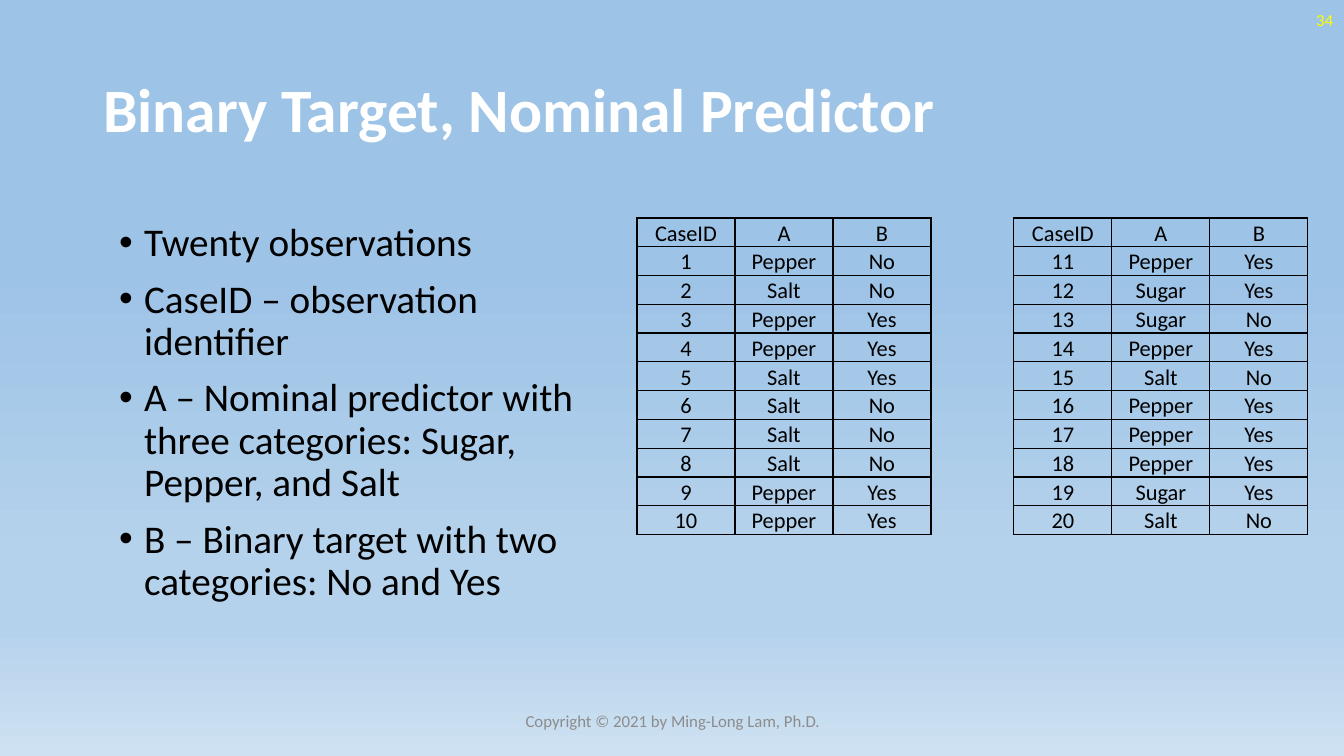
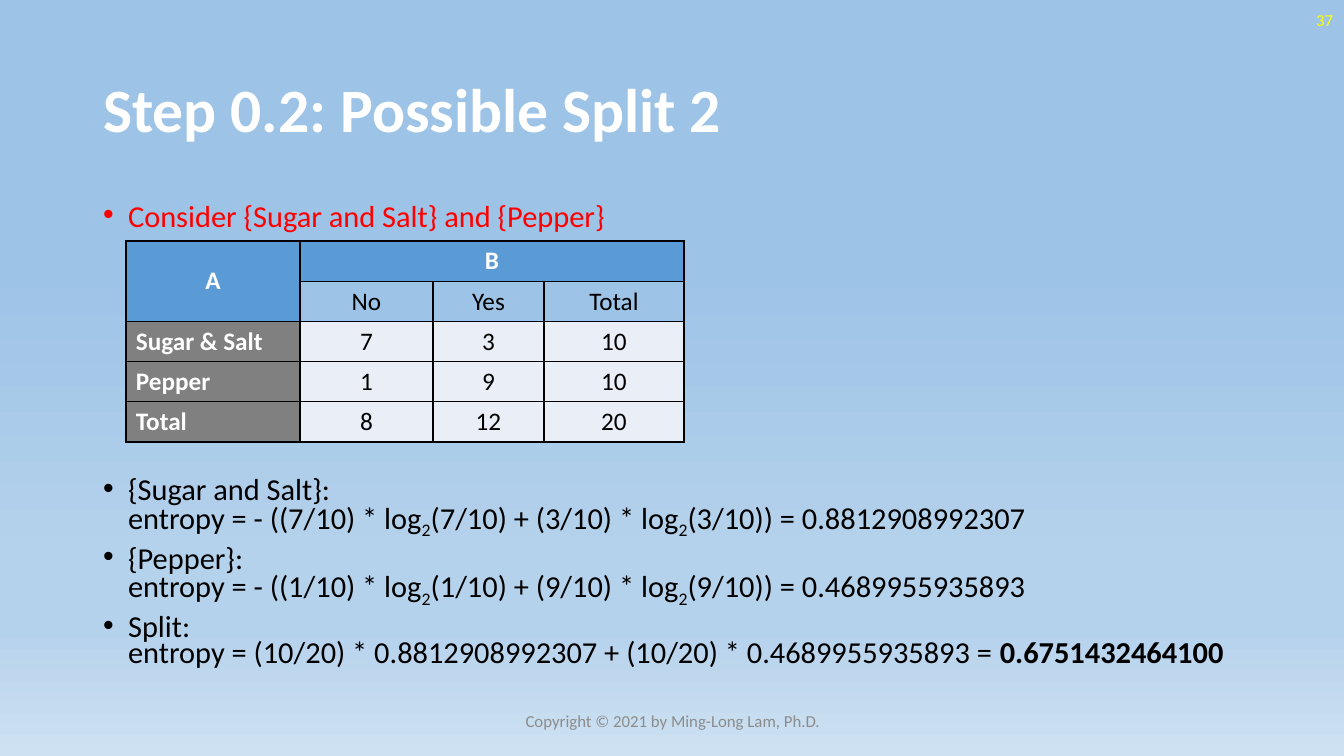
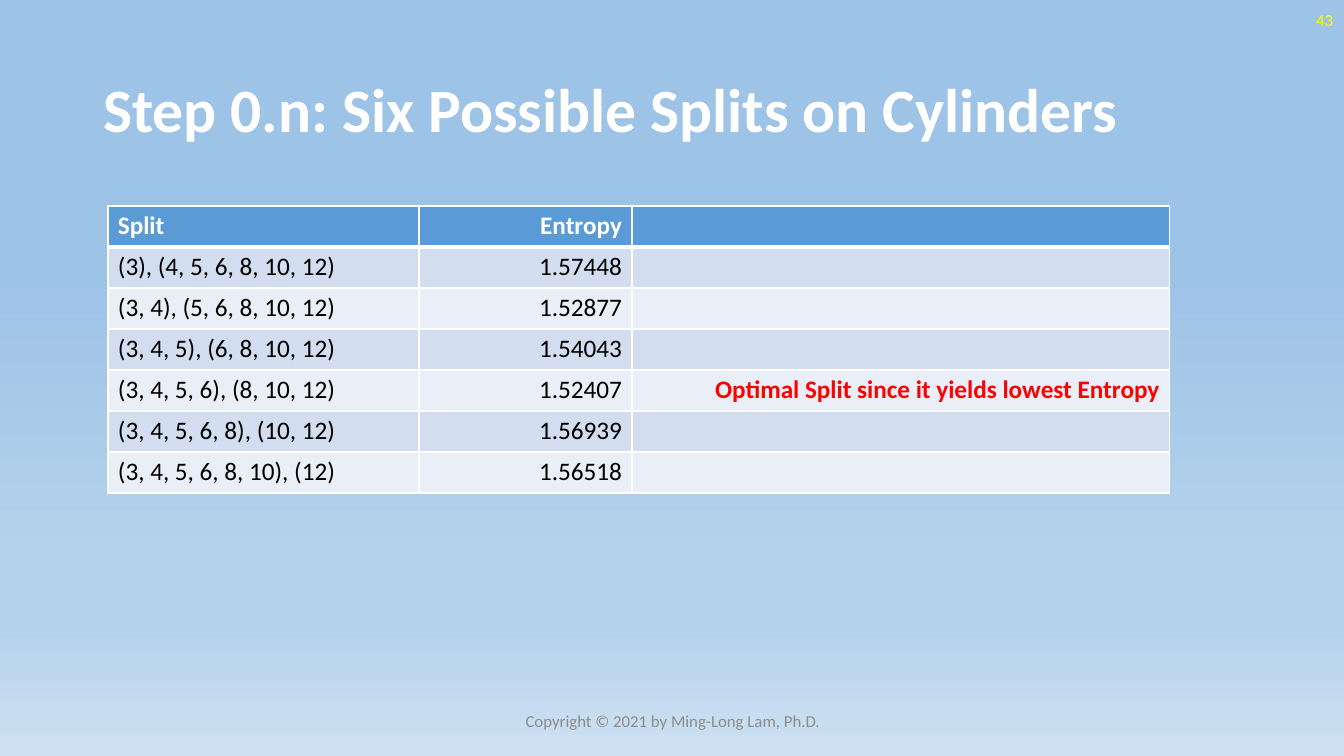
from lxml import etree
from pptx import Presentation
from pptx.dml.color import RGBColor
from pptx.enum.text import MSO_ANCHOR, MSO_AUTO_SIZE, PP_ALIGN
from pptx.oxml.ns import qn
from pptx.util import Pt

LEFT, CENTER, RIGHT = PP_ALIGN.LEFT, PP_ALIGN.CENTER, PP_ALIGN.RIGHT
TOP, MIDDLE, BOTTOM = MSO_ANCHOR.TOP, MSO_ANCHOR.MIDDLE, MSO_ANCHOR.BOTTOM
NO_FIT = MSO_AUTO_SIZE.NONE

FONT = "Calibri"
C = {
    "white": "FFFFFF", "black": "000000", "red": "FF0000", "yellow": "FFFF00",
    "grey": "8C8C8C", "label": "808080", "header": "5B9BD5", "subheader": "9DC3E6",
    "band": "D2DEEF", "pale": "EAEFF7",
}
BACKGROUND = [(35, "9DC3E6"), (74, "B5D2EC"), (83, "B5D2EC"), (100, "CEE1F2")]
FOOTER = "Copyright © 2021 by Ming-Long Lam, Ph.D."
TITLE_ONLY, TITLE_AND_CONTENT = 5, 1

OBSERVATION_POINTS = [
    "Twenty observations",
    "CaseID – observation identifier",
    "A – Nominal predictor with three categories: Sugar, Pepper, and Salt",
    "B – Binary target with two categories: No and Yes",
]
OBSERVATIONS = [
    ("Pepper", "No"), ("Salt", "No"), ("Pepper", "Yes"), ("Pepper", "Yes"),
    ("Salt", "Yes"), ("Salt", "No"), ("Salt", "No"), ("Salt", "No"),
    ("Pepper", "Yes"), ("Pepper", "Yes"), ("Pepper", "Yes"), ("Sugar", "Yes"),
    ("Sugar", "No"), ("Pepper", "Yes"), ("Salt", "No"), ("Pepper", "Yes"),
    ("Pepper", "Yes"), ("Pepper", "Yes"), ("Sugar", "Yes"), ("Salt", "No"),
]

SPLIT_QUESTION = [("Consider {Sugar and Salt} and {Pepper}", "red")]
SPLIT_ENTROPIES = [
    [("{Sugar and Salt}:", ""), ("\n", ""), ("entropy = - ((7/10) * log", ""), ("2", "sub"),
     ("(7/10) + (3/10) * log", ""), ("2", "sub"), ("(3/10)) = 0.8812908992307", "")],
    [("{Pepper}:", ""), ("\n", ""), ("entropy = - ((1/10) * log", ""), ("2", "sub"),
     ("(1/10) + (9/10) * log", ""), ("2", "sub"), ("(9/10)) = 0.4689955935893", "")],
    [("Split:", ""), ("\n", ""),
     ("entropy = (10/20) * 0.8812908992307 + (10/20) * 0.4689955935893 = ", ""),
     ("0.6751432464100", "bold")],
]
SPLIT_COUNTS = [
    ("A", "B", "", ""),
    ("", "No", "Yes", "Total"),
    ("Sugar & Salt", "7", "3", "10"),
    ("Pepper", "1", "9", "10"),
    ("Total", "8", "12", "20"),
]

CYLINDER_SPLITS = [
    ("Split", "Entropy", ""),
    ("(3), (4, 5, 6, 8, 10, 12)", "1.57448", ""),
    ("(3, 4), (5, 6, 8, 10, 12)", "1.52877", ""),
    ("(3, 4, 5), (6, 8, 10, 12)", "1.54043", ""),
    ("(3, 4, 5, 6), (8, 10, 12)", "1.52407", "Optimal Split since it yields lowest Entropy"),
    ("(3, 4, 5, 6, 8), (10, 12)", "1.56939", ""),
    ("(3, 4, 5, 6, 8, 10), (12)", "1.56518", ""),
]


def px(n):
    return round(n * 914400 / 100.8)


def place(shape, x, y, w, h):
    shape.left, shape.top, shape.width, shape.height = px(x), px(y), px(w), px(h)


def add_run(p, text, size, color, bold=False):
    r = p.add_run()
    r.text = text
    r.font.name = FONT
    r.font.size = Pt(size)
    r.font.bold = bold
    r.font.color.rgb = RGBColor.from_string(C[color])
    return r


def add_label(s, box, text, color, align):
    tf = s.shapes.add_textbox(*map(px, box)).text_frame
    tf.word_wrap = True
    tf.vertical_anchor = MIDDLE
    p = tf.paragraphs[0]
    p.alignment = align
    add_run(p, text, 12, color)


def set_background(master):
    fill = master.background.fill
    fill.gradient()
    fill.gradient_angle = 270
    stops = master.element.find(".//" + qn("a:gsLst"))
    for stop in list(stops):
        stops.remove(stop)
    for position, color in BACKGROUND:
        stop = etree.SubElement(stops, qn("a:gs"), pos=str(position * 1000))
        etree.SubElement(stop, qn("a:srgbClr"), val=color)


def add_slide(prs, layout, title, number):
    s = prs.slides.add_slide(prs.slide_layouts[layout])
    place(s.shapes.title, 93, 40, 1159, 146)
    tf = s.shapes.title.text_frame
    tf.auto_size = NO_FIT
    tf.vertical_anchor = MIDDLE
    p = tf.paragraphs[0]
    p.alignment = LEFT
    p.line_spacing = 0.9
    add_run(p, title, 44, "white", True)
    add_label(s, (446, 701, 454, 40), FOOTER, "grey", CENTER)
    add_label(s, (1041, 0, 302, 40), str(number), "yellow", RIGHT)
    return s


def fill_body(s, box, paragraphs, size, line_spacing, gaps):
    body = s.placeholders[1]
    place(body, *box)
    tf = body.text_frame
    tf.auto_size = NO_FIT
    for i, (runs, gap) in enumerate(zip(paragraphs, gaps)):
        p = tf.add_paragraph() if i else tf.paragraphs[0]
        p.line_spacing = line_spacing
        p.space_before = Pt(gap)
        pPr = p._p.get_or_add_pPr()
        pPr.set("marL", str(px(25)))
        pPr.set("indent", str(px(-25)))
        for text, style in runs:
            if text == "\n":
                p.add_line_break()
                br = p._p.findall(qn("a:br"))[-1]
                etree.SubElement(br, qn("a:rPr"), sz=str(round(size * 100)))
                continue
            r = add_run(p, text, size, "red" if style == "red" else "black", style == "bold")
            if style == "sub":
                r.font._element.set("baseline", "-25000")


def set_border(cell, color, widths):
    tcPr = cell._tc.get_or_add_tcPr()
    for side, width in zip("LRTB", widths):
        ln = etree.SubElement(tcPr, qn("a:ln" + side), w=str(Pt(width)))
        if width:
            fill = etree.SubElement(ln, qn("a:solidFill"))
            etree.SubElement(fill, qn("a:srgbClr"), val=C[color])
        else:
            etree.SubElement(ln, qn("a:noFill"))


def add_grid(s, x, y, cols, row_height, rows, look, line, borders, size=18,
             anchor=MIDDLE, margins=(10, 5), line_spacing=1.0):
    frame = s.shapes.add_table(len(rows), len(cols), px(x), px(y),
                               px(sum(cols)), px(row_height * len(rows)))
    table = frame.table
    table.first_row = table.horz_banding = False
    for column, width in zip(table.columns, cols):
        column.width = px(width)
    for i, row in enumerate(rows):
        table.rows[i].height = px(row_height)
        for j, text in enumerate(row):
            cell = table.cell(i, j)
            fill, color, bold, align = look(i, j)
            set_border(cell, line, borders(i, j))
            if fill:
                cell.fill.solid()
                cell.fill.fore_color.rgb = RGBColor.from_string(C[fill])
            else:
                cell.fill.background()
            cell.vertical_anchor = anchor
            cell.margin_left = cell.margin_right = px(margins[0])
            cell.margin_top = cell.margin_bottom = px(margins[1])
            p = cell.text_frame.paragraphs[0]
            p.alignment = align
            p.line_spacing = line_spacing
            if text:
                add_run(p, text, size, color, bold)
            else:
                p._p.get_or_add_endParaRPr().set("sz", str(size * 100))
    return table


def even_borders(i, j):
    return 1, 1, 1, 1


def observation_look(i, j):
    return None, "black", False, CENTER


def observation_borders(i, j):
    return (1, 1, 0, 0) if j == 3 else (1, 1, 1, 1)


def count_look(i, j):
    if i == 0 or (i == 1 and j == 0):
        return "header", "white", True, CENTER
    if i == 1:
        return "subheader", "black", False, CENTER
    if j == 0:
        return "label", "white", True, LEFT
    return "pale", "black", False, CENTER


def cylinder_look(i, j):
    align = RIGHT if j else LEFT
    if i == 0:
        return "header", "white", True, align
    return ("band" if i % 2 else "pale"), ("red" if j == 2 else "black"), j == 2, align


def cylinder_borders(i, j):
    return 1, 1, 3 if i == 1 else 1, 3 if i == 0 else 1


def observations_slide(prs):
    s = add_slide(prs, TITLE_AND_CONTENT, "Binary Target, Nominal Predictor", 34)
    fill_body(s, (109, 218, 507, 480), [[(text, "")] for text in OBSERVATION_POINTS],
              28, 0.9, (0, 10, 10, 10))
    cases = [(str(n), *values) for n, values in enumerate(OBSERVATIONS, 1)]
    header = ("CaseID", "A", "B")
    half = len(cases) // 2
    rows = [(*a, "", *b) for a, b in zip([header] + cases[:half], [header] + cases[half:])]
    add_grid(s, 637, 218, [98] * 3 + [83] + [98] * 3, 27, rows, observation_look, "black",
             observation_borders, 16, BOTTOM, (7, 0), 1.07)


def split_slide(prs):
    s = add_slide(prs, TITLE_AND_CONTENT, "Step 0.2: Possible Split 2", 37)
    fill_body(s, (93, 202, 1159, 480), [SPLIT_QUESTION] + SPLIT_ENTROPIES,
              21.7, 0.7, (0, 177, 10, 10))
    table = add_grid(s, 126, 241, [174, 133, 111, 140], 40, SPLIT_COUNTS, count_look,
                     "black", even_borders)
    table.cell(0, 0).merge(table.cell(1, 0))
    table.cell(0, 1).merge(table.cell(0, 3))


def cylinders_slide(prs):
    s = add_slide(prs, TITLE_ONLY, "Step 0.n: Six Possible Splits on Cylinders", 43)
    add_grid(s, 108, 206, [311, 213, 538], 41, CYLINDER_SPLITS, cylinder_look,
             "white", cylinder_borders, anchor=TOP)


def main():
    prs = Presentation()
    prs.slide_width, prs.slide_height = px(1344), px(756)
    set_background(prs.slide_master)
    observations_slide(prs)
    split_slide(prs)
    cylinders_slide(prs)
    prs.save("out.pptx")


if __name__ == "__main__":
    main()
